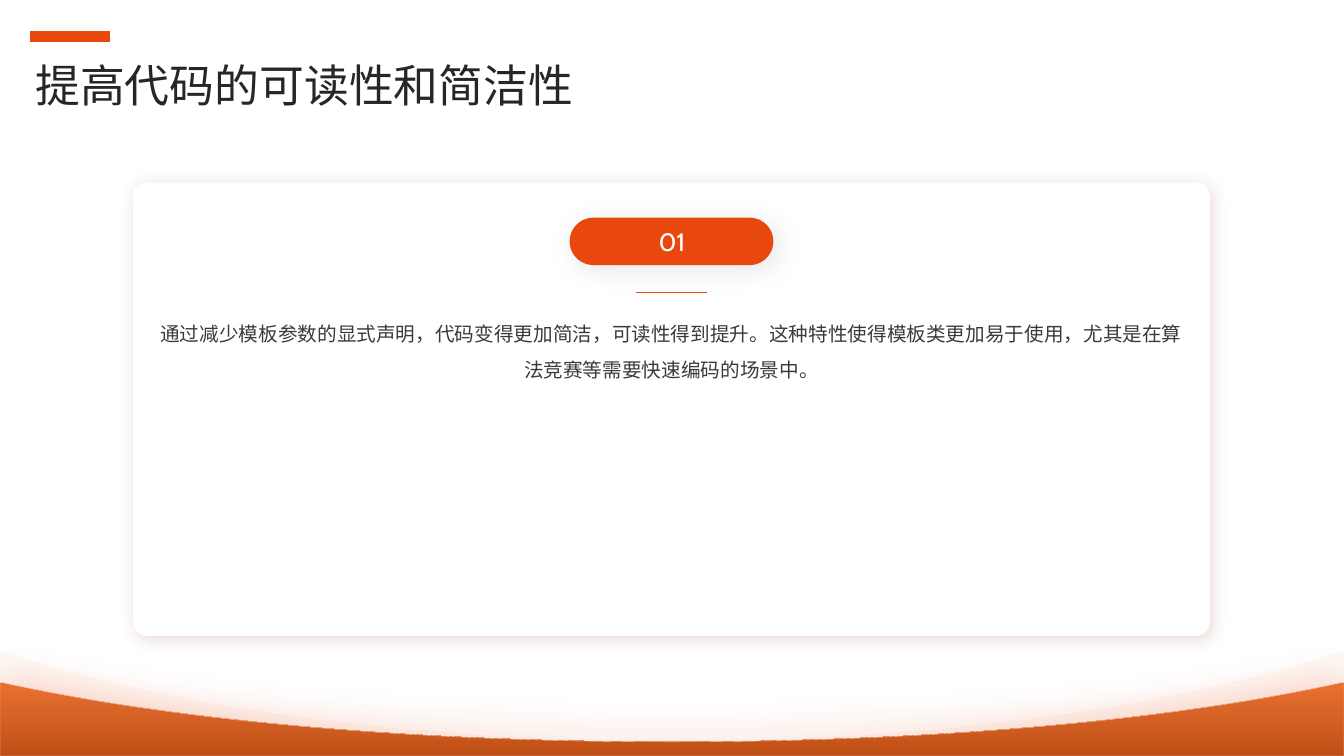
from dataclasses import dataclass

from pptx import Presentation
from pptx import util as u
from pptx.dml.color import RGBColor
from pptx.enum import shapes, text
from pptx.oxml import ns, xmlchemy as xc

SCALE = 9144
WIDE, HIGH = 1333, 750


@dataclass(frozen=True)
class Theme:
    """Colours, fonts and type sizes of the slide."""
    accent: str = "E8480E"
    card: str = "FFFFFF"
    pale: str = "FCDACD"
    top: str = "E97132"
    base: str = "C04F15"
    warm: str = "80350E"
    dark: str = "000000"
    title: str = "262626"
    body: str = "3A3A3A"
    han: str = "Noto Sans CJK SC"
    latin: str = "Cabin"
    big: int = 32
    mid: int = 18
    small: int = 14


T = Theme()


def px(n):
    """Turn pixels into EMU."""
    return u.Emu(round(n * SCALE))


def rgb(code):
    """Make a colour from its hex code."""
    return RGBColor.from_string(code)


def node(up, tag, **attrs):
    """Append a drawing element to a parent and return it."""
    kid = xc.OxmlElement(tag)
    for key, val in attrs.items():
        kid.set(key, str(val))
    up.append(kid)
    return kid


def shade(shape, code, alpha, blur, dist, turn):
    """Give a shape an outer shadow."""
    shape.shadow.inherit = False
    box = shape._element.spPr.find(ns.qn("a:effectLst"))
    cast = node(box, "a:outerShdw", blurRad=u.Pt(blur), dist=u.Pt(dist),
                dir=turn * 60000, algn="ctr", rotWithShape=0)
    node(node(cast, "a:srgbClr", val=code), "a:alpha", val=alpha * 1000)


def bend(shape, start):
    """Merge three straight steps of an outline into one curve."""
    steps = shape._element.spPr.findall(".//" + ns.qn("a:lnTo"))[start:start + 3]
    curve = xc.OxmlElement("a:cubicBezTo")
    steps[0].addprevious(curve)
    for step in steps:
        curve.append(step[0])
        step.getparent().remove(step)


def wave(slide, edge, lip, pull, dip):
    """Draw a hollow-topped band along the foot of the slide."""
    half = [(0, edge), (2, lip), (166, pull), (403, dip)]
    rim = half + [(667, dip)] + [(WIDE - x, y) for x, y in half[::-1]]
    dots = [(px(x), px(y)) for x, y in rim + [(WIDE, HIGH), (0, HIGH)]]
    pen = slide.shapes.build_freeform(*dots[0])
    pen.add_line_segments(dots[1:], close=True)
    band = pen.convert_to_shape()
    for start in (4, 1):
        bend(band, start)
    return band


def haze(slide):
    """Draw the pale see-through band."""
    band = wave(slide, 645, 646, 701, 735)
    band.fill.solid()
    band.fill.fore_color.rgb = rgb(T.pale)
    hue = band._element.spPr.find(".//" + ns.qn("a:srgbClr"))
    node(hue, "a:alpha", val=18000)
    band.line.fill.background()
    band.shadow.inherit = False


def hill(slide):
    """Draw the orange gradient band."""
    band = wave(slide, 677, 677, 714, 736)
    band.fill.gradient()
    band.fill.gradient_angle = 270
    for stop, code, at in zip(band.fill.gradient_stops, (T.top, T.base), (0, 1)):
        stop.color.rgb = rgb(code)
        stop.position = at
    band.line.color.rgb = rgb(T.pale)
    band.line.width = u.Pt(0.25)
    shade(band, T.accent, 26, 29, 3, 270)


def panel(slide, box, code, curve, cast):
    """Draw a rounded panel with a shadow."""
    kind = shapes.MSO_SHAPE.ROUNDED_RECTANGLE
    shape = slide.shapes.add_shape(kind, *map(px, box))
    shape.adjustments[0] = curve
    shape.fill.solid()
    shape.fill.fore_color.rgb = rgb(code)
    shape.line.fill.background()
    shade(shape, *cast)


def label(slide, box, words, font, size, code, align, space=None, mid=True):
    """Place one paragraph of text without insets."""
    frame = slide.shapes.add_textbox(*map(px, box)).text_frame
    frame.word_wrap = True
    frame.margin_left = frame.margin_right = 0
    frame.margin_top = frame.margin_bottom = 0
    anchor = text.MSO_ANCHOR
    frame.vertical_anchor = anchor.MIDDLE if mid else anchor.TOP
    para = frame.paragraphs[0]
    para.text = words
    para.alignment = align
    para.line_spacing = space
    para.font.size = u.Pt(size)
    para.font.color.rgb = rgb(code)
    para.font.name = font
    node(para._p.pPr.find(ns.qn("a:defRPr")), "a:ea", typeface=font)


def rule(slide, left, right, y, width, cap="flat"):
    """Draw a level accent line."""
    kind = shapes.MSO_CONNECTOR.STRAIGHT
    line = slide.shapes.add_connector(kind, px(left), px(y), px(right), px(y))
    line.line.color.rgb = rgb(T.accent)
    line.line.width = u.Pt(width)
    line.line._ln.set("cap", cap)
    node(line._element.spPr, "a:effectLst")


def main():
    """Build the slide and save it."""
    deck = Presentation()
    deck.slide_width, deck.slide_height = px(WIDE), px(HIGH)
    slide = deck.slides.add_slide(deck.slide_layouts[6])
    left, mid = text.PP_ALIGN.LEFT, text.PP_ALIGN.CENTER
    haze(slide)
    hill(slide)
    panel(slide, (132, 181, 1068, 450), T.card, 0.03, (T.warm, 19, 12, 3, 45))
    panel(slide, (565, 216, 202, 47), T.accent, 0.5, (T.dark, 10, 20, 5, 45))
    label(slide, (157, 308, 1018, 301),
          "通过减少模板参数的显式声明，代码变得更加简洁，可读性得到提升。"
          "这种特性使得模板类更加易于使用，尤其是在算法竞赛等需要快速编码的场景中。",
          T.han, T.small, T.body, mid, 1.5, False)
    label(slide, (558, 216, 217, 47), "01", T.latin, T.mid, T.card, mid)
    rule(slide, 631, 701, 290, 0.5)
    label(slide, (35, 55, 1220, 47), "提高代码的可读性和简洁性",
          T.han, T.big, T.title, left, 1.2)
    rule(slide, 35, 104, 36, 8, "sq")
    deck.save("out.pptx")


if __name__ == "__main__":
    main()
